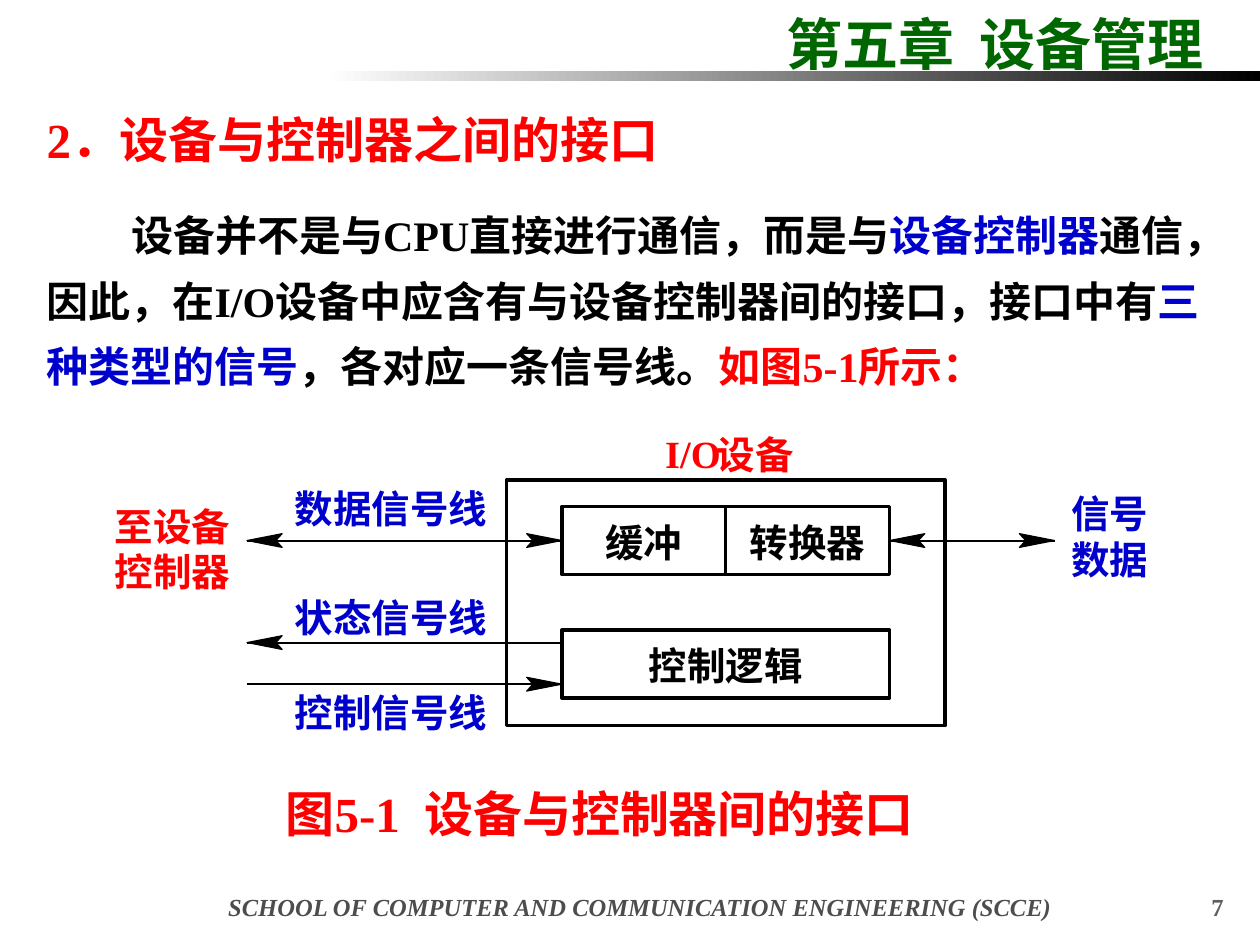
from lxml.etree import SubElement
from pptx import Presentation
from pptx.dml.color import RGBColor
from pptx.enum.shapes import MSO_CONNECTOR, MSO_SHAPE
from pptx.enum.text import MSO_ANCHOR, MSO_AUTO_SIZE, PP_ALIGN
from pptx.oxml.ns import qn
from pptx.util import Inches, Pt

# Content
HEX = {"green": "006600", "red": "FF0000", "blue": "0000CC", "black": "000000",
       "white": "FFFFFF", "gray": "4D4D4D", "mid": "5F5F5F"}
LATIN, ASIAN = "Times New Roman", "Noto Sans CJK SC"

TITLE = "第五章  设备管理"
HEADING = "2．设备与控制器之间的接口"
BODY = [("设备并不是与CPU直接进行通信，而是与", "black"),
        ("设备控制器", "blue"),
        ("通信，因此，在I/O设备中应含有与设备控制器间的接口，接口中有", "black"),
        ("三种类型的信号", "blue"),
        ("，各对应一条信号线。", "black"),
        ("如图5-1所示：", "red")]
CAPTION = "图5-1  设备与控制器间的接口"
FOOTER = "SCHOOL OF COMPUTER AND COMMUNICATION ENGINEERING (SCCE)"
PAGE = "7"

# Diagram labels: text, left, top, width, colour
LABELS = [("信号", 8.5, 3.89, 0.61, "blue"), ("数据", 8.5, 4.25, 0.61, "blue"),
          ("数据信号线", 2.34, 3.85, 1.53, "blue"),
          ("状态信号线", 2.34, 4.71, 1.53, "blue"),
          ("控制信号线", 2.34, 5.47, 1.53, "blue"),
          ("至设备", 0.91, 3.99, 0.92, "red"), ("控制器", 0.91, 4.35, 0.92, "red"),
          ("I/O", 5.28, 3.41, 0.44, "red"), ("设备", 5.69, 3.42, 0.61, "red")]

# Diagram grid
LEFT, HALF, HIGH = 4.46, 1.3, 0.54
RIGHT = LEFT + 2 * HALF
FAR_L, FAR_R = 1.96, 8.37
ROW1, ROW2 = 4.02, 5.0
DATA, STATE, CTRL = ROW1 + HIGH / 2, 5.1, 5.43
BOXES = [("缓冲", LEFT, ROW1, HALF), ("转换器", LEFT + HALF, ROW1, HALF),
         ("控制逻辑", LEFT, ROW2, 2 * HALF)]
# Arrowheads: tip x, y, direction
HEADS = [(FAR_R, DATA, 1), (RIGHT, DATA, -1), (FAR_L, DATA, -1),
         (LEFT, DATA, 1), (FAR_L, STATE, -1), (LEFT, CTRL, 1)]

deck = Presentation()
deck.slide_width, deck.slide_height = Inches(10), Inches(7.5)
slide = deck.slides.add_slide(deck.slide_layouts[1])
shapes = slide.shapes


def color(name):
    return RGBColor.from_string(HEX[name])


def write(para, text, size=22, hue="black", italic=False, align=PP_ALIGN.LEFT):
    para.alignment = align
    run = para.add_run()
    run.text = text
    font = run.font
    font.size, font.bold, font.italic = Pt(size), True, italic
    font.name = LATIN
    font.color.rgb = color(hue)
    SubElement(font._element, qn("a:ea"), typeface=ASIAN)


def place(shape, left, top, width, height):
    shape.left, shape.top = Inches(left), Inches(top)
    shape.width, shape.height = Inches(width), Inches(height)


def setup(shape, inset=True, anchor=MSO_ANCHOR.MIDDLE):
    frame = shape.text_frame
    frame.auto_size = MSO_AUTO_SIZE.NONE
    frame.word_wrap = True
    frame.vertical_anchor = anchor
    side, end = (Inches(0.1), Inches(0.05)) if inset else (0, 0)
    frame.margin_left = frame.margin_right = side
    frame.margin_top = frame.margin_bottom = end
    return frame


def label(text, left, top, width, height, inset=True, **style):
    box = shapes.add_textbox(*map(Inches, (left, top, width, height)))
    frame = setup(box, inset)
    frame.word_wrap = inset
    write(frame.paragraphs[0], text, **style)


def rect(left, top, width, height, fill=None):
    box = shapes.add_shape(MSO_SHAPE.RECTANGLE,
                           *map(Inches, (left, top, width, height)))
    box.shadow.inherit = False
    if fill:
        box.fill.solid()
        box.fill.fore_color.rgb = color(fill)
    else:
        box.fill.background()
    box.line.color.rgb = color("black")
    box.line.width = Pt(2)
    return box


def wire(start, end, y):
    line = shapes.add_connector(MSO_CONNECTOR.STRAIGHT,
                                *map(Inches, (start, y, end, y)))
    line.line.color.rgb = color("black")
    line.line.width = Pt(1.13)
    SubElement(line._element.spPr, qn("a:effectLst"))
    return line


def head(tip, y, way):
    back, notch, rise = tip - way * 0.28, tip - way * 0.23, 0.055
    pts = [(notch, y), (back, y + rise), (tip, y)]
    pen = shapes.build_freeform(Inches(back), Inches(y - rise))
    pen.add_line_segments([(Inches(a), Inches(b)) for a, b in pts], close=True)
    mark = pen.convert_to_shape()
    mark.shadow.inherit = False
    mark.fill.solid()
    mark.fill.fore_color.rgb = color("black")
    mark.line.color.rgb = color("black")
    mark.line.width = Pt(0.62)


# Title and gradient rule
title = shapes.title
place(title, 6.14, 0.02, 3.83, 0.64)
write(setup(title).paragraphs[0], TITLE, size=32, hue="green")
rule = rect(2.58, 0.56, 7.42, 0.08)
rule.line.fill.background()
rule.fill.gradient()
rule.fill.gradient_angle = 0
for stop, hue, spot in zip(rule.fill.gradient_stops, ("white", "black"), (0, 1)):
    stop.color.rgb = color(hue)
    stop.position = spot

# Heading and body
body = slide.placeholders[1]
place(body, 0.27, 0.68, 9.61, 2.48)
frame = setup(body, anchor=MSO_ANCHOR.TOP)
first, main = frame.paragraphs[0], frame.add_paragraph()
write(first, HEADING, size=28, hue="red")
for text, hue in BODY:
    write(main, text, size=24, hue=hue)
for para, gap, pitch, indent in ((first, 0, 43.5, 0), (main, 15.2, 37.4, 0.67)):
    para.space_before, para.line_spacing = Pt(gap), Pt(pitch)
    props = para._p.get_or_add_pPr()
    props.set("marL", "0")
    props.set("indent", str(Inches(indent)))
    props.set("hangingPunct", "0")
    SubElement(props, qn("a:buNone"))

# Device blocks and frame
buffer, convert, logic = [rect(x, y, w, HIGH, fill="white") for _, x, y, w in BOXES]
for box, (text, *_) in zip((buffer, convert, logic), BOXES):
    frame = setup(box, inset=False)
    frame.margin_top = Inches(0.02)
    write(frame.paragraphs[0], text, align=PP_ALIGN.CENTER)
rect(4.02, 3.81, 3.48, 1.95)

# Signal lines
wire(RIGHT, FAR_R, DATA).begin_connect(convert, 3)
wire(FAR_L, LEFT, DATA).end_connect(buffer, 1)
for y in (STATE, CTRL):
    wire(FAR_L, LEFT, y)
for spot in HEADS:
    head(*spot)
for text, left, top, width, hue in LABELS:
    label(text, left, top, width, 0.37, inset=False, hue=hue)

# Caption and footer
label(CAPTION, 2.17, 6.17, 5.44, 0.57, size=28, hue="red")
label(FOOTER, 1.22, 7.03, 7.72, 0.34, size=14, hue="gray", italic=True,
      align=PP_ALIGN.CENTER)
label(PAGE, 9.16, 7.06, 0.65, 0.28, size=14, hue="mid", align=PP_ALIGN.RIGHT)

deck.save("out.pptx")
